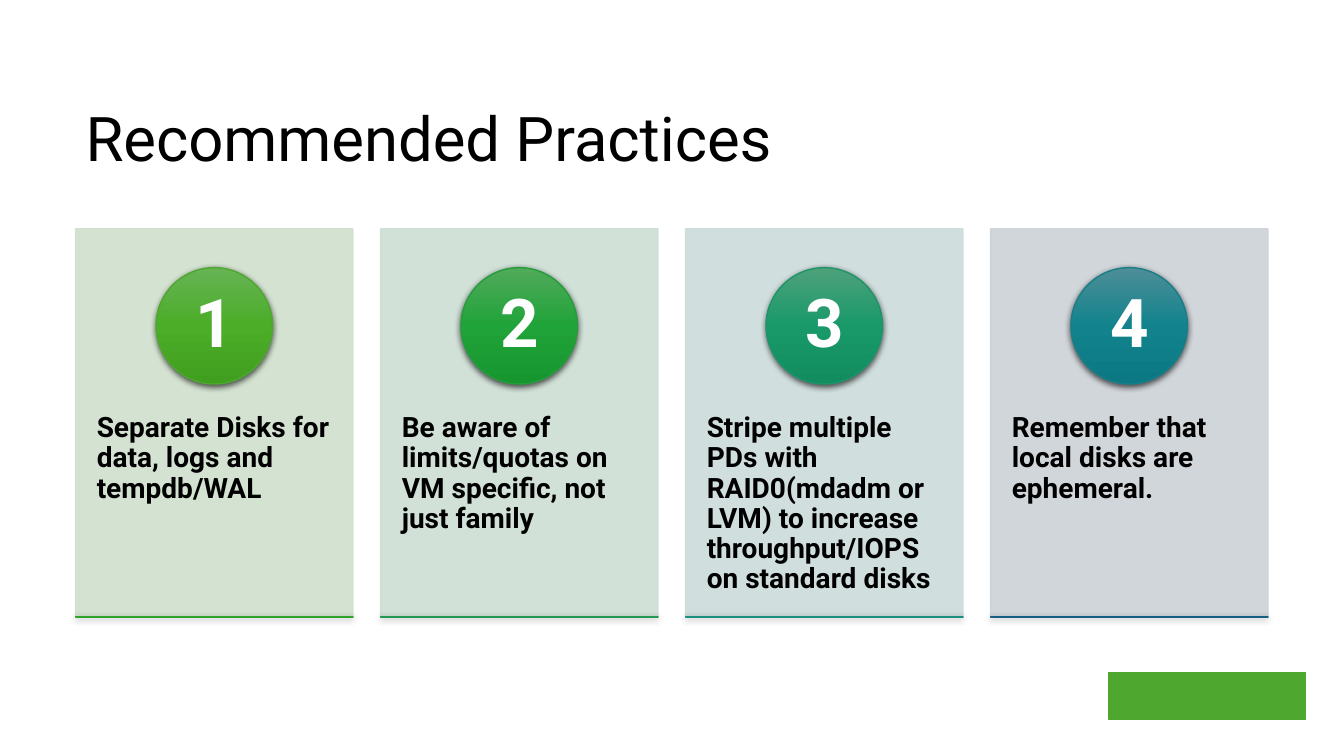
from dataclasses import dataclass

import pptx
import pptx.dml.color
import pptx.enum.shapes
import pptx.enum.text
import pptx.oxml
import pptx.oxml.ns
import pptx.util
from pptx.dml.color import RGBColor

FONT = "Roboto"
BLACK = RGBColor(0x00, 0x00, 0x00)
WHITE = RGBColor(0xFF, 0xFF, 0xFF)
BRAND_GREEN = RGBColor(0x4E, 0xA7, 0x2E)

# Grid: a card is ten columns wide and ten rows high, with one column between cards
LEFT = pptx.util.Inches(0.75)
TOP = pptx.util.Inches(2.27)
COLUMN = pptx.util.Inches(2.75) / 10
ROW = pptx.util.Inches(3.85) / 10
CARD_STEP = 11

NAMESPACE = pptx.oxml.ns.nsdecls("a")
SHAPE_TYPE = pptx.enum.shapes.MSO_SHAPE
ANCHOR = pptx.enum.text.MSO_ANCHOR
ALIGN = pptx.enum.text.PP_ALIGN


@dataclass(frozen=True)
class Area:
    """A place on the grid, in columns and rows."""
    column: float
    row: float
    columns: float
    rows: float

    def shifted(self, columns: float) -> "Area":
        return Area(self.column + columns, self.row, self.columns, self.rows)

    def box(self) -> tuple[int, int, int, int]:
        return (round(LEFT + self.column * COLUMN), round(TOP + self.row * ROW),
                round(self.columns * COLUMN), round(self.rows * ROW))


@dataclass(frozen=True)
class Gloss:
    """A three-stop vertical gradient and its outline."""
    top: RGBColor
    middle: RGBColor
    bottom: RGBColor
    line: RGBColor


@dataclass(frozen=True)
class TextStyle:
    size: float
    color: RGBColor = BLACK
    bold: bool = True
    align: ALIGN = ALIGN.LEFT
    anchor: ANCHOR = ANCHOR.TOP
    margin_x: float = 0.1
    margin_y: float = 0.05


@dataclass(frozen=True)
class Practice:
    text: str
    background: RGBColor
    circle: Gloss
    bar: Gloss


TITLE_AREA = Area(0, -3.77, 38.2, 3.06)
LOGO_AREA = Area(37.27, 11.43, 7.09, 1.22)
CARD_AREA = Area(0, 0, 10, 10)
TEXT_AREA = Area(0, 3.82, 10, 6)
CIRCLE_AREA = Area(2.9, 1, 4.2, 3)
NUMBER_AREA = Area(3.52, 1.44, 2.97, 2.12)
BAR_AREA = Area(0, 10, 10, 0)

TITLE_STYLE = TextStyle(44, bold=False, anchor=ANCHOR.MIDDLE)
BODY_STYLE = TextStyle(20, margin_x=0.21, margin_y=0.36)
NUMBER_STYLE = TextStyle(48, WHITE, align=ALIGN.CENTER, anchor=ANCHOR.MIDDLE,
                         margin_x=0.09, margin_y=0.01)


def gloss(top: str, middle: str, bottom: str, line: str) -> Gloss:
    return Gloss(*map(RGBColor.from_string, (top, middle, bottom, line)))


PRACTICES = (
    Practice("Separate Disks for data, logs and tempdb/WAL",
             RGBColor(0xD0, 0xE1, 0xCD),
             gloss("66B354", "4BAD28", "409F1E", "4EA72E"),
             gloss("54AE52", "29A824", "209B1A", "2FA22A")),
    Practice("Be aware of limits/quotas on VM specific, not just family",
             RGBColor(0xCD, 0xDE, 0xD4),
             gloss("51AA5B", "20A338", "17962F", "269D3C"),
             gloss("50A56A", "1C9E52", "149248", "229853")),
    Practice("Stripe multiple PDs with RAID0(mdadm or LVM) to increase "
             "throughput/IOPS on standard disks",
             RGBColor(0xCC, 0xDB, 0xDB),
             gloss("4EA17B", "19996A", "118D60", "1F9369"),
             gloss("4E9C8D", "159382", "0E8877", "1B8E7E")),
    Practice("Remember that local disks are ephemeral.",
             RGBColor(0xCC, 0xD2, 0xD8),
             gloss("4D8E97", "12838D", "0B7883", "187E88"),
             gloss("4C7591", "106287", "09597D", "156082")),
)


def add_shape(slide, kind: SHAPE_TYPE, area: Area, fill: RGBColor, line: RGBColor):
    shape = slide.shapes.add_shape(kind, *area.box())
    shape.shadow.inherit = False
    shape.fill.solid()
    shape.fill.fore_color.rgb = fill
    shape.line.color.rgb = line
    shape.line.width = pptx.util.Pt(1)
    return shape


def add_card(slide, area: Area, color: RGBColor) -> None:
    card = add_shape(slide, SHAPE_TYPE.RECTANGLE, area, color, color)
    for color_element in card._element.spPr.iter(pptx.oxml.ns.qn("a:srgbClr")):
        color_element.append(pptx.oxml.parse_xml(f'<a:alpha {NAMESPACE} val="90000"/>'))


def add_glossy_shape(slide, kind: SHAPE_TYPE, area: Area, colors: Gloss) -> None:
    properties = add_shape(slide, kind, area, colors.middle, colors.line)._element.spPr
    # Gradient from top to bottom
    stops = "".join(
        f'<a:gs pos="{index * 50000}"><a:srgbClr val="{color}"/></a:gs>'
        for index, color in enumerate((colors.top, colors.middle, colors.bottom)))
    properties.replace(
        properties.find(pptx.oxml.ns.qn("a:solidFill")),
        pptx.oxml.parse_xml(f'<a:gradFill {NAMESPACE} rotWithShape="1"><a:gsLst>{stops}'
                            '</a:gsLst><a:lin ang="5400000" scaled="0"/></a:gradFill>'))
    # Soft shadow below
    properties.find(pptx.oxml.ns.qn("a:effectLst")).append(pptx.oxml.parse_xml(
        f'<a:outerShdw {NAMESPACE} blurRad="{pptx.util.Pt(4.5)}" '
        f'dist="{pptx.util.Pt(1.5)}" dir="5400000" algn="ctr" rotWithShape="0">'
        '<a:srgbClr val="000000"><a:alpha val="63000"/></a:srgbClr></a:outerShdw>'))


def add_text(slide, area: Area, text: str, style: TextStyle) -> None:
    frame = slide.shapes.add_textbox(*area.box()).text_frame
    frame.word_wrap = True
    frame.vertical_anchor = style.anchor
    frame.margin_left = frame.margin_right = pptx.util.Inches(style.margin_x)
    frame.margin_top = frame.margin_bottom = pptx.util.Inches(style.margin_y)
    paragraph = frame.paragraphs[0]
    paragraph.text = text
    paragraph.alignment = style.align
    paragraph.line_spacing = 0.9
    paragraph.font.name = FONT
    paragraph.font.size = pptx.util.Pt(style.size)
    paragraph.font.bold = style.bold
    paragraph.font.color.rgb = style.color


def add_practice(slide, index: int, practice: Practice) -> None:
    offset = index * CARD_STEP
    add_card(slide, CARD_AREA.shifted(offset), practice.background)
    add_text(slide, TEXT_AREA.shifted(offset), practice.text, BODY_STYLE)
    add_glossy_shape(slide, SHAPE_TYPE.OVAL, CIRCLE_AREA.shifted(offset), practice.circle)
    add_text(slide, NUMBER_AREA.shifted(offset), str(index + 1), NUMBER_STYLE)
    add_glossy_shape(slide, SHAPE_TYPE.RECTANGLE, BAR_AREA.shifted(offset), practice.bar)


def main() -> None:
    presentation = pptx.Presentation()
    presentation.slide_width = pptx.util.Inches(13.33)
    presentation.slide_height = pptx.util.Inches(7.5)
    slide = presentation.slides.add_slide(presentation.slide_layouts[6])

    # Logo placeholder and title
    add_shape(slide, SHAPE_TYPE.RECTANGLE, LOGO_AREA, BRAND_GREEN, BRAND_GREEN)
    add_text(slide, TITLE_AREA, "Recommended Practices", TITLE_STYLE)

    # Numbered cards
    for index, practice in enumerate(PRACTICES):
        add_practice(slide, index, practice)

    presentation.save("out.pptx")


if __name__ == "__main__":
    main()
